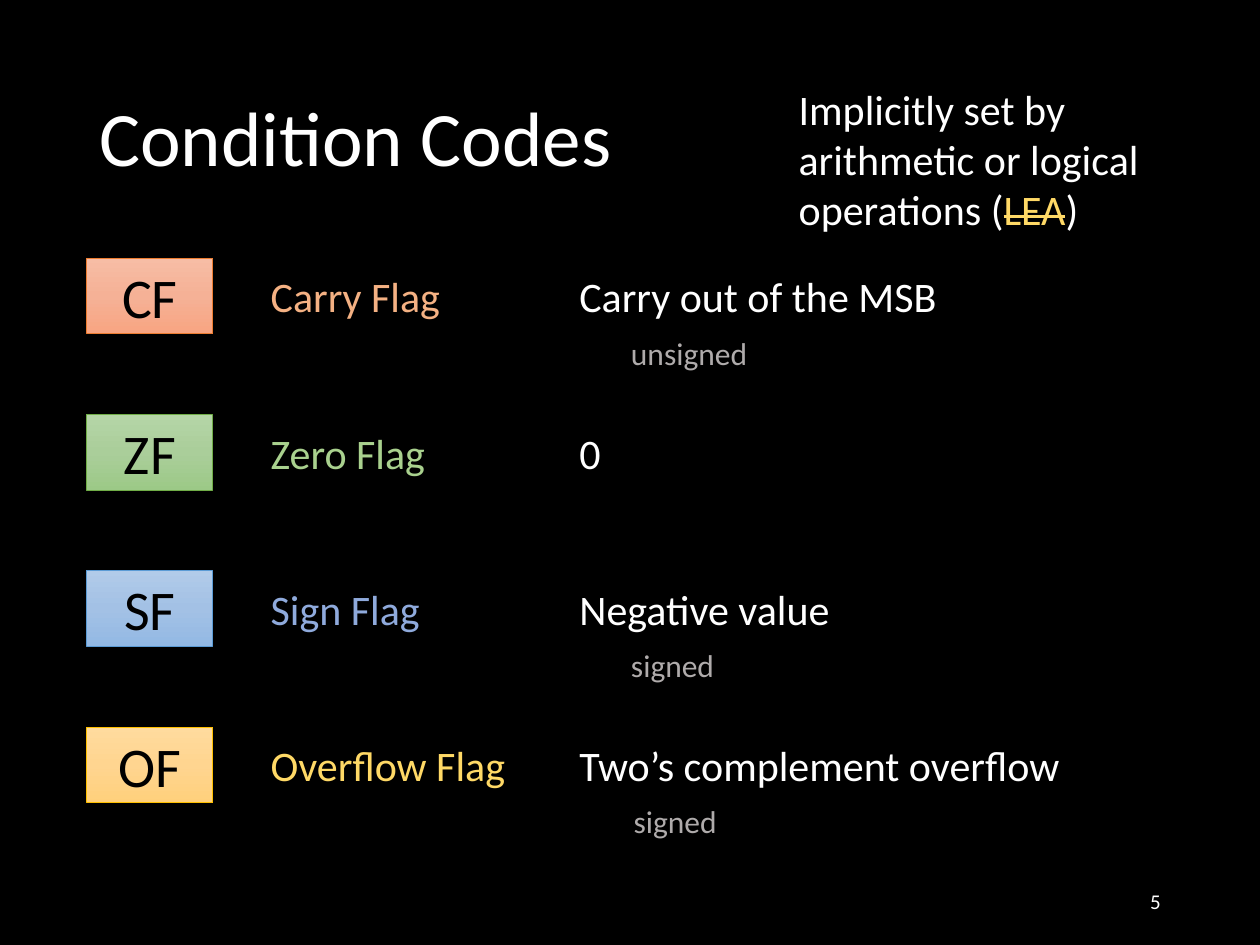
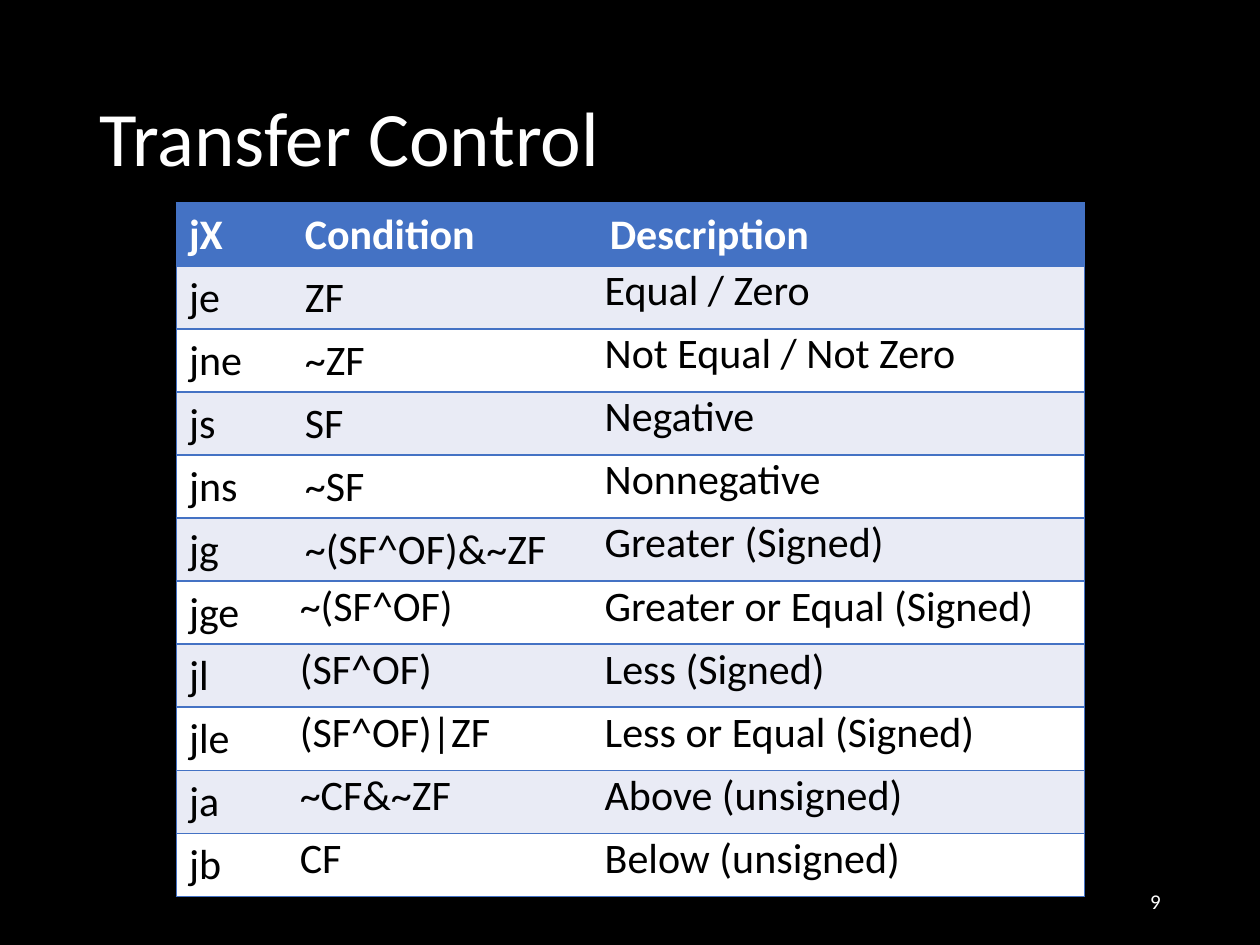
"""Builds two slides on processor condition codes and conditional jumps."""
from copy import deepcopy
from dataclasses import dataclass

from lxml import etree
from pptx import Presentation
from pptx.dml.color import RGBColor
from pptx.enum.shapes import MSO_SHAPE
from pptx.enum.text import MSO_ANCHOR, MSO_AUTO_SIZE, PP_ALIGN
from pptx.oxml.ns import qn
from pptx.util import Inches, Pt

RECT = MSO_SHAPE.RECTANGLE
TOP, MIDDLE = MSO_ANCHOR.TOP, MSO_ANCHOR.MIDDLE
LEFT, CENTER, RIGHT = PP_ALIGN.LEFT, PP_ALIGN.CENTER, PP_ALIGN.RIGHT
GROW = MSO_AUTO_SIZE.SHAPE_TO_FIT_TEXT
NO_GRID_STYLE = "{2D5ABB26-0587-4C30-8999-92F81FD0307C}"
BLANK = 6


@dataclass(frozen=True)
class Theme:
    """Colours, font and type sizes shared by the slides."""
    font: str = "Calibri"
    background: str = "000000"
    light: str = "FFFFFF"
    dark: str = "000000"
    muted: str = "AFABAB"
    accent: str = "FFD966"
    header: str = "4472C4"
    band: str = "E9EBF5"
    title: int = 44
    code: int = 32
    body: int = 24
    note: int = 18
    number: int = 12


T = Theme()


@dataclass(frozen=True)
class Run:
    """A stretch of text in one style."""
    text: str
    size: int = T.body
    color: str = T.light
    bold: bool = False
    strike: bool = False


@dataclass(frozen=True)
class Flag:
    """One condition code with its name, meaning and optional note."""
    code: str
    name: str
    name_width: float
    color: str
    line: str
    gradient: tuple[str, str, str]
    meaning: str
    meaning_width: float
    note: str = ""
    note_left: float = 4.91
    note_width: float = 0.9


@dataclass(frozen=True)
class Jump:
    """One jump instruction; tight marks a condition cell with small margins."""
    name: str
    condition: str
    description: str
    tight: bool = False


FLAGS = (
    Flag("CF", "Carry Flag", 1.61, "F4B183", "ED7D31", ("F7BDA5", "F5B196", "F8A582"),
         "Carry out of the MSB", 3.16, "unsigned", note_width=1.17),
    Flag("ZF", "Zero Flag", 1.52, "A9D18E", "70AD47", ("B5D5A7", "AACE9A", "9CC987"),
         "0", 0.39),
    Flag("SF", "Sign Flag", 1.47, "8FAADC", "5B9BD5", ("B1CBE9", "A3C1E5", "93B9E4"),
         "Negative value", 2.31, "signed"),
    Flag("OF", "Overflow Flag", 2.27, T.accent, "FFC000", ("FFDB9E", "FFD590", "FFD07C"),
         "Two’s complement overflow", 4.26, "signed", note_left=4.93),
)
FLAG_TOP, FLAG_STEP = 2.05, 1.24

JUMPS = (
    Jump("je", "ZF", "Equal / Zero"),
    Jump("jne", "~ZF", "Not Equal / Not Zero"),
    Jump("js", "SF", "Negative"),
    Jump("jns", "~SF", "Nonnegative"),
    Jump("jg", "~(SF^OF)&~ZF", "Greater (Signed)"),
    Jump("jge", "~(SF^OF)", "Greater or Equal (Signed)", True),
    Jump("jl", "(SF^OF)", "Less (Signed)", True),
    Jump("jle", "(SF^OF)|ZF", "Less or Equal (Signed)", True),
    Jump("ja", "~CF&~ZF", "Above (unsigned)", True),
    Jump("jb", "CF", "Below (unsigned)", True),
)
HEADINGS = Jump("jX", "Condition", "Description")
COLUMN_WIDTHS = (0.92, 2.42, 3.87)
ROW_HEIGHT = 0.5


def rgb(color: str) -> RGBColor:
    """Turn a hex string into a colour."""
    return RGBColor.from_string(color)


def add_runs(tf, *runs: Run, align=LEFT):
    """Write the runs into the first paragraph and return it."""
    p = tf.paragraphs[0]
    p.alignment = align
    for run in runs:
        r = p.add_run()
        r.text = run.text
        r.font.name, r.font.size, r.font.bold = T.font, Pt(run.size), run.bold
        r.font.color.rgb = rgb(run.color)
        if run.strike:
            r.font._element.set("strike", "sngStrike")
    return p


def add_text(s, left: float, top: float, width: float, height: float, *runs: Run,
             align=LEFT, anchor=TOP, wrap: bool = False, grow: bool = True):
    """Add a text box and return its paragraph."""
    sp = s.shapes.add_textbox(Inches(left), Inches(top), Inches(width), Inches(height))
    tf = sp.text_frame
    tf.word_wrap, tf.vertical_anchor = wrap, anchor
    if grow:
        tf.auto_size = GROW
    return add_runs(tf, *runs, align=align)


def add_slide(prs, title: str, number: int):
    """Add a dark slide with its title and slide number."""
    s = prs.slides.add_slide(prs.slide_layouts[BLANK])
    s.background.fill.solid()
    s.background.fill.fore_color.rgb = rgb(T.background)
    p = add_text(s, 0.69, 0.4, 8.62, 1.45, Run(title, T.title),
                 anchor=MIDDLE, wrap=True, grow=False)
    p.line_spacing = 0.9
    add_text(s, 7.06, 6.95, 2.25, 0.4, Run(str(number), T.number),
             align=RIGHT, anchor=MIDDLE, wrap=True, grow=False)
    return s


def fill_gradient(sp, colors: tuple[str, str, str]) -> None:
    """Fill a shape with three evenly spaced stops from top to bottom."""
    fill = sp.fill
    fill.gradient()
    fill.gradient_angle = 270
    stops = sp._element.spPr.find(".//" + qn("a:gsLst"))
    stops.append(deepcopy(stops[0]))
    for i, (stop, color) in enumerate(zip(fill.gradient_stops, colors)):
        stop.position = i / 2
        stop.color.rgb = rgb(color)


def add_flag(s, flag: Flag, top: float) -> None:
    """Draw one row: code box, name, meaning and note."""
    sp = s.shapes.add_shape(RECT, Inches(0.69), Inches(top), Inches(1), Inches(0.6))
    sp.shadow.inherit = False
    fill_gradient(sp, flag.gradient)
    sp.line.color.rgb, sp.line.width = rgb(flag.line), Pt(0.5)
    sp.text_frame.vertical_anchor = MIDDLE
    add_runs(sp.text_frame, Run(flag.code, T.code, T.dark), align=CENTER)
    add_text(s, 2.05, top + 0.05, flag.name_width, 0.5, Run(flag.name, color=flag.color))
    add_text(s, 4.5, top + 0.05, flag.meaning_width, 0.5, Run(flag.meaning))
    if flag.note:
        add_text(s, flag.note_left, top + 0.55, flag.note_width, 0.4,
                 Run(flag.note, T.note, T.muted))


def add_border(cell, side: str) -> None:
    """Draw a one-point line on a side of a cell."""
    ln = etree.SubElement(cell._tc.get_or_add_tcPr(), qn(f"a:ln{side}"), w=str(Pt(1)))
    fill = etree.SubElement(ln, qn("a:solidFill"))
    etree.SubElement(fill, qn("a:srgbClr"), val=T.header)


def style_cell(cell, run: Run, fill: str, sides: str, tight: bool) -> None:
    """Write, border and fill one table cell."""
    if tight:
        cell.margin_left = cell.margin_right = Inches(0.06)
        cell.margin_top = cell.margin_bottom = 0
    add_runs(cell.text_frame, run)
    for side in sides:
        add_border(cell, side)
    cell.fill.solid()
    cell.fill.fore_color.rgb = rgb(fill)


def add_jump_table(s) -> None:
    """Draw the table of jump instructions."""
    rows = (HEADINGS, *JUMPS)
    tbl = s.shapes.add_table(len(rows), len(COLUMN_WIDTHS), Inches(1.4), Inches(1.61),
                             Inches(sum(COLUMN_WIDTHS)),
                             Inches(ROW_HEIGHT * len(rows))).table
    tbl._tbl.tblPr.find(qn("a:tableStyleId")).text = NO_GRID_STYLE
    for column, width in zip(tbl.columns, COLUMN_WIDTHS):
        column.width = Inches(width)
    for i, jump in enumerate(rows):
        head = i == 0
        fill = T.header if head else T.band if i % 2 else T.light
        color = T.light if head else T.dark
        cells = ((jump.name, "LTB", False), (jump.condition, "TB", jump.tight),
                 (jump.description, "RTB", not head))
        for j, (text, sides, tight) in enumerate(cells):
            style_cell(tbl.cell(i, j), Run(text, color=color, bold=head),
                       fill, sides, tight)


def build_condition_codes(prs) -> None:
    """Build the slide on the four flags."""
    s = add_slide(prs, "Condition Codes", 5)
    for i, flag in enumerate(FLAGS):
        add_flag(s, flag, FLAG_TOP + i * FLAG_STEP)
    add_text(s, 6.24, 0.61, 3.08, 1.31,
             Run("Implicitly set by arithmetic or logical operations ("),
             Run("LEA", color=T.accent, strike=True), Run(")"), wrap=True)


def build_transfer_control(prs) -> None:
    """Build the slide on conditional jumps."""
    add_jump_table(add_slide(prs, "Transfer Control", 9))


def main() -> None:
    """Build and save the presentation."""
    prs = Presentation()
    prs.slide_width, prs.slide_height = Inches(10), Inches(7.5)
    build_condition_codes(prs)
    build_transfer_control(prs)
    prs.save("out.pptx")


if __name__ == "__main__":
    main()
